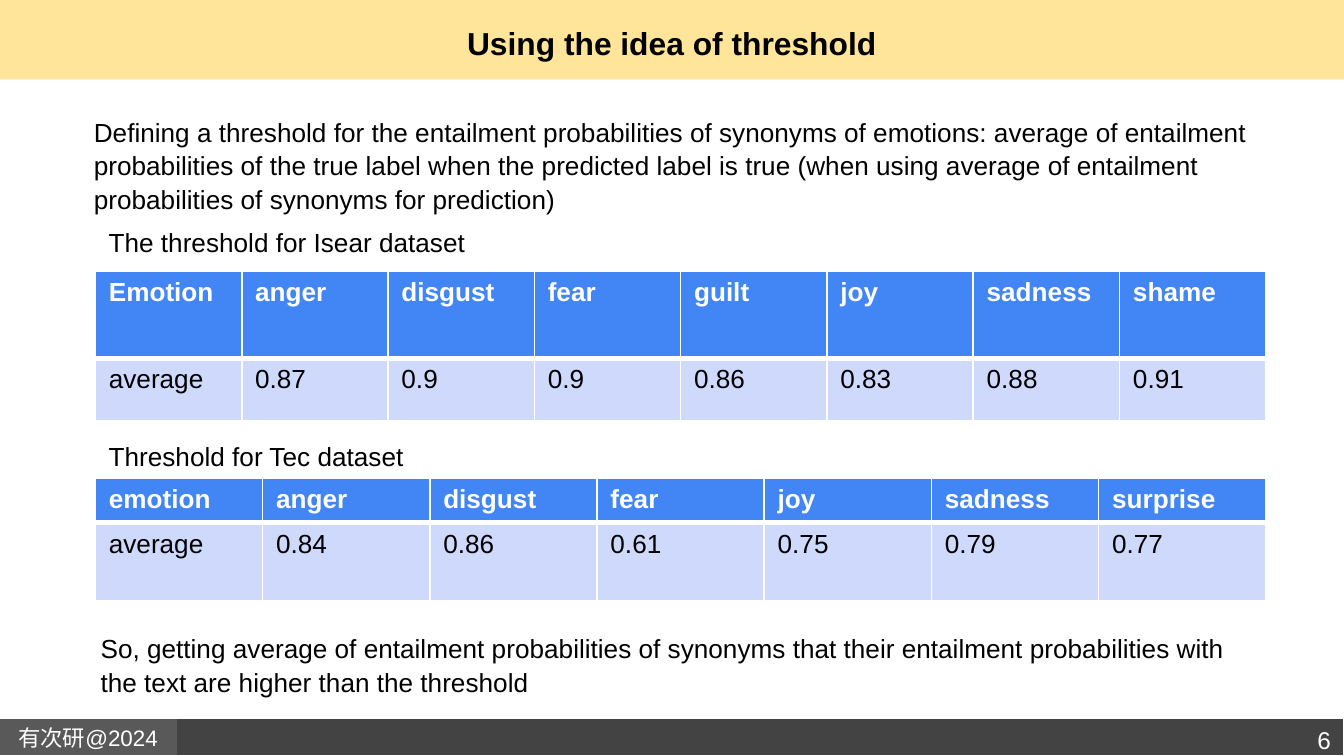
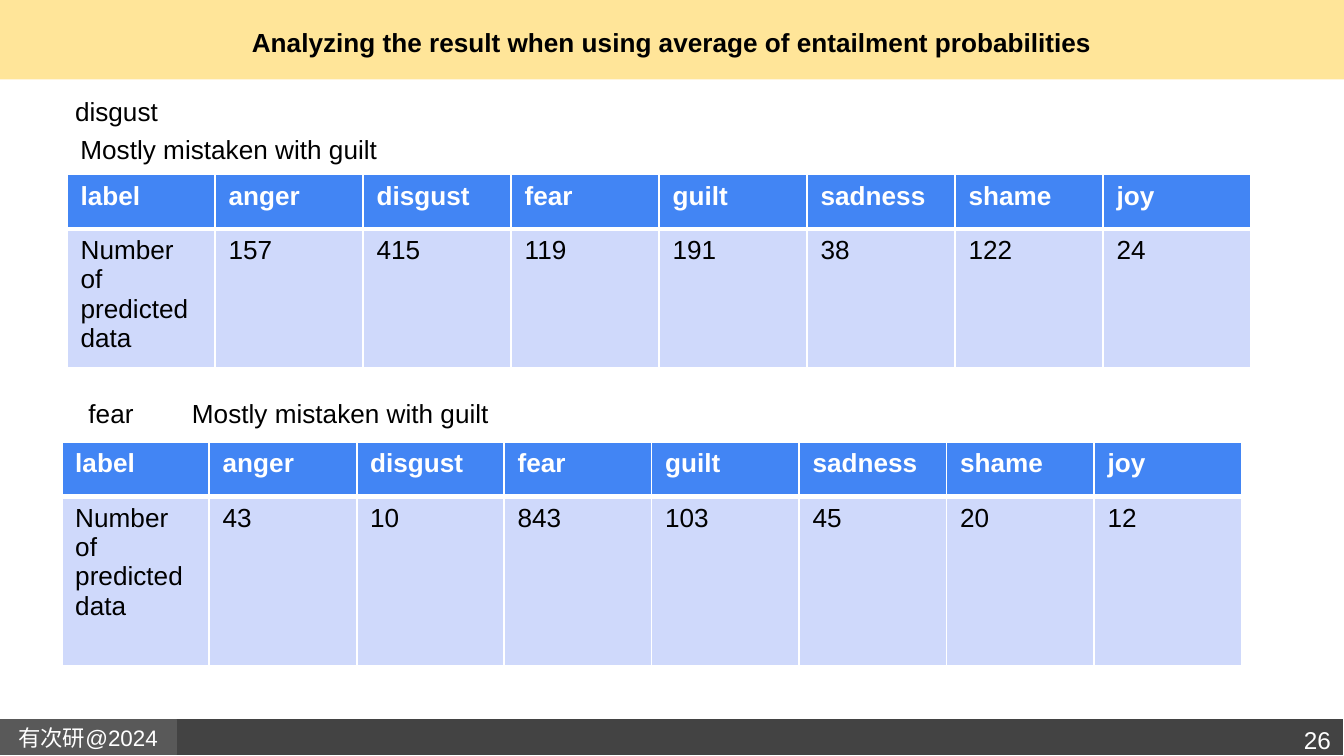
import pptx
import pptx.util
import pptx.dml.color
import pptx.enum.shapes
import pptx.enum.text
import pptx.oxml.ns
import lxml.etree

INK = {
    "band": "FFE599", "foot": "434343", "tag": "595959", "head": "4285F4",
    "body": "CFD9FB", "white": "FFFFFF", "black": "000000",
}
FONT = "Arial"
WIDE, HIGH = 10, 5.625
COL, ROW = WIDE / 100, HIGH / 100
ALIGN = pptx.enum.text.PP_ALIGN
MID = pptx.enum.text.MSO_ANCHOR.MIDDLE
TOP = pptx.enum.text.MSO_ANCHOR.TOP
LABELS = ["label", "anger", "disgust", "fear", "guilt", "sadness", "shame", "joy"]


def tint(name):
    """Return the colour with this name."""
    return pptx.dml.color.RGBColor.from_string(INK[name])


def area(x, y, w, h):
    """Turn columns and rows of the 100 by 100 grid into lengths."""
    sizes = (x * COL, y * ROW, w * COL, h * ROW)
    return [pptx.util.Inches(size) for size in sizes]


def write(frame, text, size=14, color="black", bold=False,
          align=ALIGN.LEFT, anchor=TOP, inset=None, space=None):
    """Put formatted text into a text frame."""
    frame.word_wrap = True
    frame.vertical_anchor = anchor
    if inset is not None:
        edge = pptx.util.Inches(inset)
        frame.margin_left = frame.margin_right = edge
        frame.margin_top = frame.margin_bottom = edge
    para = frame.paragraphs[0]
    para.alignment = align
    para.line_spacing = space
    run = para.add_run()
    run.text = text
    font = run.font
    font.name, font.size, font.bold = FONT, pptx.util.Pt(size), bold
    font.color.rgb = tint(color)


def block(slide, place, fill, line=None):
    """Draw a plain rectangle."""
    kind = pptx.enum.shapes.MSO_SHAPE.RECTANGLE
    shape = slide.shapes.add_shape(kind, *area(*place))
    shape.shadow.inherit = False
    shape.fill.solid()
    shape.fill.fore_color.rgb = tint(fill)
    if line:
        shape.line.color.rgb = tint(line)
        shape.line.width = pptx.util.Pt(0.75)
    else:
        shape.line.fill.background()
    return shape


def note(slide, place, text, **style):
    """Add a text box."""
    box = slide.shapes.add_textbox(*area(*place))
    write(box.text_frame, text, **style)


def page(deck, title, number, size):
    """Add a slide with its bands, title, footer and number."""
    slide = deck.slides.add_slide(deck.slide_layouts[5])
    block(slide, (0, 0, 100, 10.5), "band")
    block(slide, (0, 95, 100, 5), "foot", "white")
    tag = block(slide, (0, 95.2, 13.1, 4.6), "tag", "tag")
    write(tag.text_frame, "有次研@2024", size=12, color="white",
          align=ALIGN.CENTER, anchor=MID, inset=0.1)
    head = slide.shapes.title
    slide.shapes._spTree.append(head._element)
    head.left, head.top, head.width, head.height = area(3.4, 0, 93.2, 11.2)
    write(head.text_frame, title, size=size, bold=True,
          align=ALIGN.CENTER, anchor=MID, inset=0.1)
    note(slide, (89.5, 94.2, 10.5, 6.6), str(number), size=13, color="white",
         align=ALIGN.RIGHT, inset=0.1)
    return slide


def edge(cell, **widths):
    """Give a cell white borders with widths in points."""
    props = cell._tc.get_or_add_tcPr()
    for side in "LRTB":
        width = pptx.util.Pt(widths.get(side, 1))
        line = lxml.etree.SubElement(
            props, pptx.oxml.ns.qn("a:ln" + side), w=str(int(width)))
        fill = lxml.etree.SubElement(line, pptx.oxml.ns.qn("a:solidFill"))
        lxml.etree.SubElement(
            fill, pptx.oxml.ns.qn("a:srgbClr"), val=INK["white"])


def grid(slide, x, y, w, tall, rows):
    """Add a table with equal columns and a strong header row."""
    count = len(rows[0])
    frame = slide.shapes.add_table(len(rows), count, *area(x, y, w, sum(tall)))
    table = frame.table
    for col in table.columns:
        col.width = pptx.util.Inches(w * COL / count)
    for r, (high, texts) in enumerate(zip(tall, rows)):
        table.rows[r].height = pptx.util.Inches(high * ROW)
        top = r == 0
        for c, text in enumerate(texts):
            cell = table.cell(r, c)
            edge(cell, **({"B": 3} if top else {"T": 3}))
            cell.fill.solid()
            cell.fill.fore_color.rgb = tint("head" if top else "body")
            write(cell.text_frame, text, bold=top,
                  color="white" if top else "black")


def limits(deck):
    """Build the slide on thresholds."""
    slide = page(deck, "Using the idea of threshold", 6, 17)
    for place, text in [
        ((6, 14.2, 88.7, 14.4),
         "Defining a threshold for the entailment probabilities of synonyms of "
         "emotions: average of entailment probabilities of the true label when "
         "the predicted label is true (when using average of entailment "
         "probabilities of synonyms for prediction)"),
        ((7.1, 28.8, 38.5, 6), "The threshold for Isear dataset"),
        ((7.1, 57.1, 30.6, 6), "Threshold for Tec dataset"),
        ((6.5, 82.5, 86.2, 10.1),
         "So, getting average of entailment probabilities of synonyms that "
         "their entailment probabilities with the text are higher than the "
         "threshold"),
    ]:
        note(slide, place, text, space=1.07)
    grid(slide, 7.1, 35.9, 87.1, (11.5, 8.3), [
        ["Emotion", "anger", "disgust", "fear", "guilt", "joy", "sadness", "shame"],
        ["average", "0.87", "0.9", "0.9", "0.86", "0.83", "0.88", "0.91"],
    ])
    grid(slide, 7.1, 63.2, 87.1, (5.9, 10.4), [
        ["emotion", "anger", "disgust", "fear", "joy", "sadness", "surprise"],
        ["average", "0.84", "0.86", "0.61", "0.75", "0.79", "0.77"],
    ])


def errors(deck):
    """Build the slide on mistaken labels."""
    slide = page(deck, "Analyzing the result when using average of "
                 "entailment probabilities", 26, 14)
    for place, text in [
        ((4.6, 11.4, 14.9, 6), "disgust"),
        ((5, 16.5, 32, 6), "Mostly mistaken with guilt"),
        ((5.6, 51.4, 11.5, 6), "fear"),
        ((13.3, 51.4, 25.6, 6), "Mostly mistaken with guilt"),
    ]:
        note(slide, place, text, space=1.07)
    first = "Number of predicted data"
    grid(slide, 5, 23.1, 88.1, (7.2, 17.2), [
        LABELS, [first, "157", "415", "119", "191", "38", "122", "24"]])
    grid(slide, 4.6, 58.5, 87.8, (7.2, 22.4), [
        LABELS, [first, "43", "10", "843", "103", "45", "20", "12"]])


def main():
    """Build and save the deck."""
    deck = pptx.Presentation()
    deck.slide_width = pptx.util.Inches(WIDE)
    deck.slide_height = pptx.util.Inches(HIGH)
    limits(deck)
    errors(deck)
    deck.save("out.pptx")


if __name__ == "__main__":
    main()
